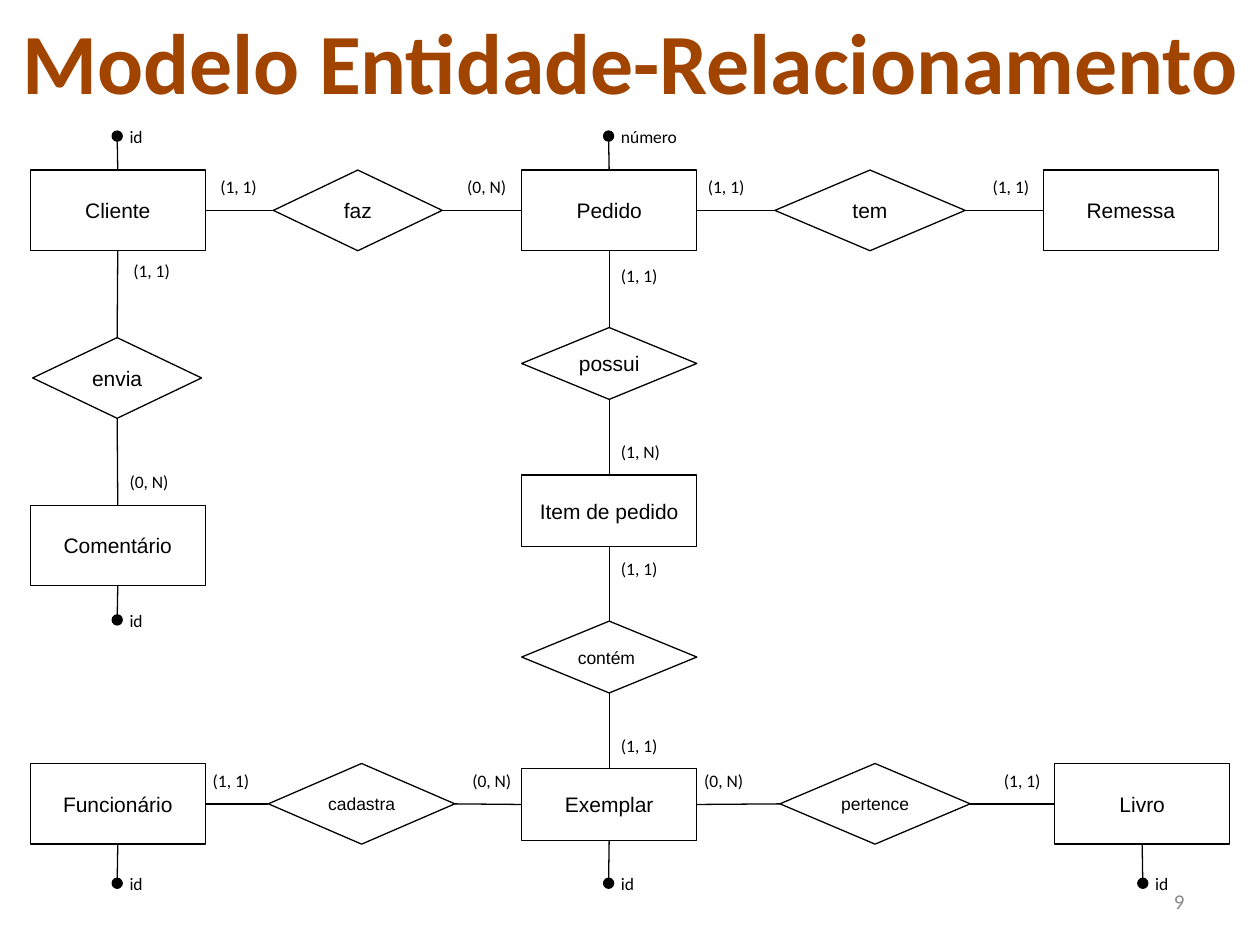
from dataclasses import dataclass

import pptx
import pptx.dml.color
import pptx.enum.shapes
import pptx.enum.text
import pptx.oxml
import pptx.util
from pptx.util import Inches

COLORS = {"title": "A04400", "ink": "000000", "paper": "FFFFFF", "number": "898989"}
SHAPE = pptx.enum.shapes.MSO_SHAPE
ALIGN = pptx.enum.text.PP_ALIGN
ANCHOR = pptx.enum.text.MSO_ANCHOR
TOP, LEFT, BOTTOM, RIGHT = range(4)
DOT = 0.08


@dataclass
class Node:
    text: str
    x: float
    y: float
    w: float = 1.39
    h: float = 0.64
    kind: int = SHAPE.RECTANGLE
    size: int = 12
    align: int = ALIGN.CENTER


@dataclass
class Relationship(Node):
    kind: int = SHAPE.FLOWCHART_DECISION


@dataclass
class Link:
    start: str
    end: str
    vertical: bool = False


@dataclass
class Label:
    text: str
    x: float
    y: float
    w: float = 0.5


@dataclass
class Attribute:
    entity: str
    text: str
    x: float
    y: float
    side: int
    w: float = 0.5


NODES = [
    Node("Cliente", 0.24, 1.35),
    Relationship("faz", 2.17, 1.35, 1.34),
    Node("Pedido", 4.14, 1.35),
    Relationship("tem", 6.15, 1.35, 1.51),
    Node("Remessa", 8.28, 1.35),
    Relationship("envia", 0.26, 2.68, 1.34),
    Node("Comentário", 0.24, 4.01),
    Relationship("possui", 4.14, 2.6, h=0.57),
    Node("Item de pedido", 4.14, 3.77, h=0.57),
    Relationship("contém", 4.14, 4.93, h=0.57, size=10, align=ALIGN.LEFT),
    Node("Funcionário", 0.24, 6.06),
    Relationship("cadastra", 2.13, 6.06, 1.48, size=10),
    Node("Exemplar", 4.14, 6.1, h=0.57),
    Relationship("pertence", 6.19, 6.06, 1.51, size=10),
    Node("Livro", 8.37, 6.06),
]
LINKS = [
    Link("Cliente", "faz"),
    Link("faz", "Pedido"),
    Link("Pedido", "tem"),
    Link("tem", "Remessa"),
    Link("Cliente", "envia", True),
    Link("envia", "Comentário", True),
    Link("Pedido", "possui", True),
    Link("possui", "Item de pedido", True),
    Link("Item de pedido", "contém", True),
    Link("contém", "Exemplar", True),
    Link("Funcionário", "cadastra"),
    Link("cadastra", "Exemplar"),
    Link("Exemplar", "pertence"),
    Link("pertence", "Livro"),
]
CARDINALITIES = [
    Label("(1, 1)", 1.65, 1.3),
    Label("(0, N)", 3.61, 1.3, 0.55),
    Label("(1, 1)", 5.52, 1.3),
    Label("(1, 1)", 7.78, 1.3),
    Label("(1, 1)", 0.96, 1.96),
    Label("(0, N)", 0.93, 3.64, 0.55),
    Label("(1, 1)", 4.83, 2),
    Label("(1, N)", 4.83, 3.4, 0.55),
    Label("(1, 1)", 4.83, 4.33),
    Label("(1, 1)", 4.83, 5.73),
    Label("(1, 1)", 1.59, 6.01),
    Label("(0, N)", 3.65, 6.01, 0.55),
    Label("(0, N)", 5.49, 6.01, 0.55),
    Label("(1, 1)", 7.87, 6.01),
]
ATTRIBUTES = [
    Attribute("Cliente", "id", 0.93, 1.08, TOP),
    Attribute("Pedido", "número", 4.83, 1.08, TOP, 0.78),
    Attribute("Comentário", "id", 0.93, 4.92, BOTTOM),
    Attribute("Funcionário", "id", 0.93, 7.01, BOTTOM),
    Attribute("Exemplar", "id", 4.83, 7.01, BOTTOM),
    Attribute("Livro", "id", 9.07, 7.01, BOTTOM),
]


def rgb(name: str):
    return pptx.dml.color.RGBColor.from_string(COLORS[name])


def write(sp, text: str, size: int, font: str = "Calibri", color: str = "ink",
          align=ALIGN.LEFT, anchor=ANCHOR.TOP, inset: float = 0.1, bold: bool = False):
    tf = sp.text_frame
    tf.text = text
    tf.word_wrap = True
    tf.auto_size = pptx.enum.text.MSO_AUTO_SIZE.NONE
    tf.vertical_anchor = anchor
    tf.margin_left = tf.margin_right = Inches(0.1)
    tf.margin_top = tf.margin_bottom = Inches(inset)
    p = tf.paragraphs[0]
    p.alignment = align
    r = p.runs[0]
    r.font.name, r.font.size, r.font.bold = font, pptx.util.Pt(size), bold
    r.font.color.rgb = rgb(color)


def add_outlined(s, kind, x: float, y: float, w: float, h: float, fill: str):
    sp = s.shapes.add_shape(kind, Inches(x), Inches(y), Inches(w), Inches(h))
    sp.shadow.inherit = False
    sp.fill.solid()
    sp.fill.fore_color.rgb = rgb(fill)
    sp.line.color.rgb = rgb("ink")
    sp.line.width = pptx.util.Pt(0.75)
    return sp


def add_node(s, node: Node):
    sp = add_outlined(s, node.kind, node.x, node.y, node.w, node.h, "paper")
    write(sp, node.text, node.size, "Arial", align=node.align, anchor=ANCHOR.MIDDLE)
    return sp


def add_line(s, x: float = 0, y: float = 0):
    line = s.shapes.add_connector(pptx.enum.shapes.MSO_CONNECTOR.STRAIGHT,
                                  Inches(x), Inches(y), Inches(x), Inches(y))
    line.line.color.rgb = rgb("ink")
    line.line.width = pptx.util.Pt(0.75)
    effects = pptx.oxml.parse_xml(
        '<a:effectLst xmlns:a="http://schemas.openxmlformats.org/drawingml/2006/main"/>')
    line._element.spPr.append(effects)
    return line


def add_link(s, link: Link, shapes: dict):
    line = add_line(s)
    line.begin_connect(shapes[link.start], BOTTOM if link.vertical else RIGHT)
    line.end_connect(shapes[link.end], TOP if link.vertical else LEFT)


def add_label(s, label: Label):
    sp = s.shapes.add_textbox(Inches(label.x), Inches(label.y), Inches(label.w), Inches(0.37))
    write(sp, label.text, 10)


def add_attribute(s, attr: Attribute, shapes: dict):
    line = add_line(s, attr.x, attr.y)
    line.begin_connect(shapes[attr.entity], attr.side)
    add_outlined(s, SHAPE.OVAL, attr.x - DOT / 2, attr.y - DOT / 2, DOT, DOT, "ink")
    add_label(s, Label(attr.text, attr.x, attr.y - 0.18, attr.w))


def main():
    prs = pptx.Presentation()
    prs.slide_width, prs.slide_height = Inches(10), Inches(7.5)
    s = prs.slides.add_slide(prs.slide_layouts[5])
    title = s.shapes.title
    title.left, title.top = Inches(0), Inches(0.02)
    title.width, title.height = Inches(10), Inches(0.93)
    write(title, "Modelo Entidade-Relacionamento", 49, color="title",
          align=ALIGN.CENTER, inset=0.05, bold=True)

    shapes = {node.text: add_node(s, node) for node in NODES}
    for link in LINKS:
        add_link(s, link, shapes)
    for label in CARDINALITIES:
        add_label(s, label)
    for attr in ATTRIBUTES:
        add_attribute(s, attr, shapes)

    number = s.shapes.add_textbox(Inches(7.17), Inches(6.95), Inches(2.33), Inches(0.4))
    write(number, "9", 12, color="number", align=ALIGN.RIGHT, anchor=ANCHOR.MIDDLE, inset=0.05)
    prs.save("out.pptx")


if __name__ == "__main__":
    main()
